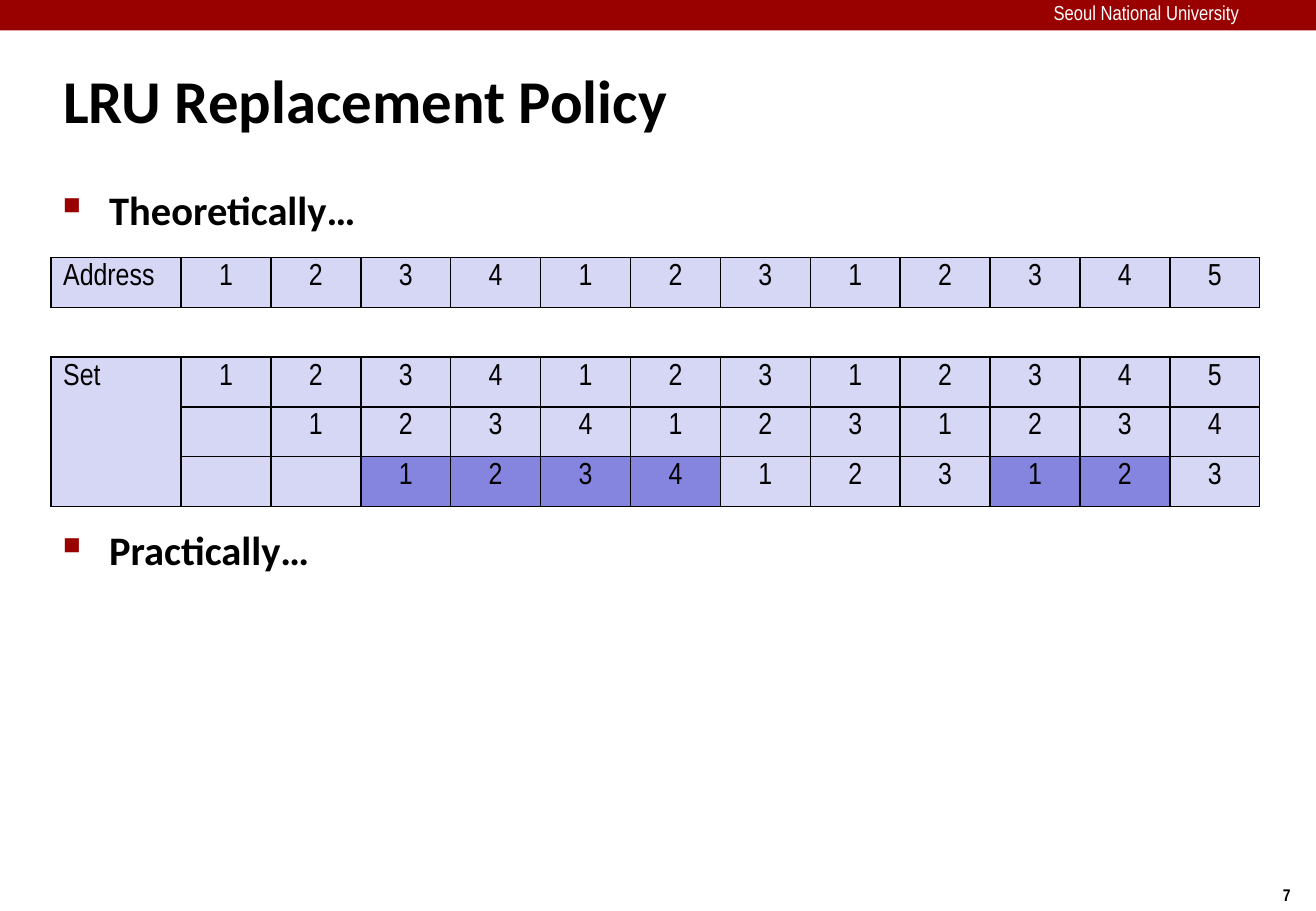
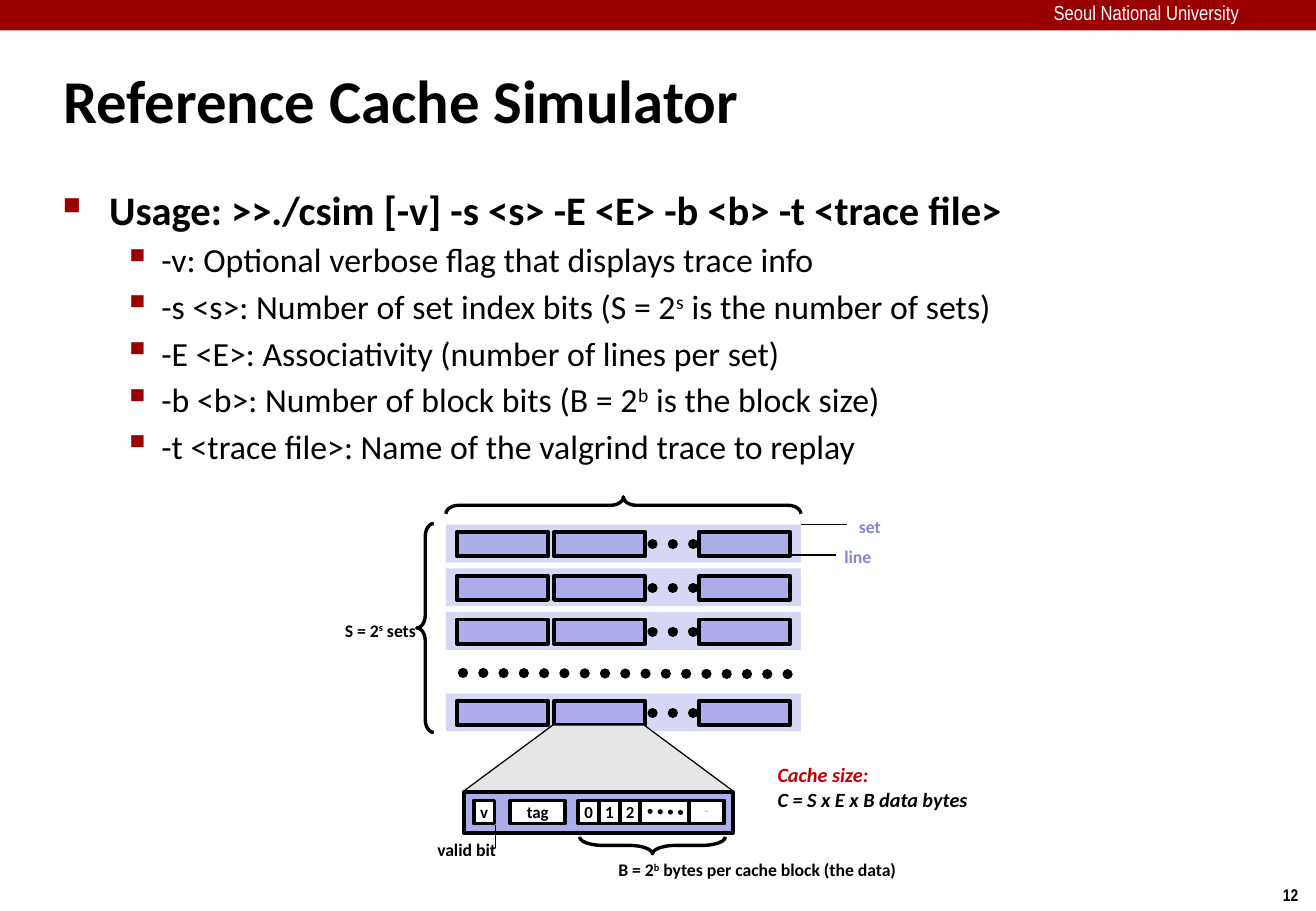
from lxml import etree
from pptx import Presentation
from pptx.dml.color import RGBColor
from pptx.enum.dml import MSO_LINE
from pptx.enum.shapes import MSO_CONNECTOR, MSO_SHAPE
from pptx.enum.text import MSO_ANCHOR, PP_ALIGN
from pptx.oxml.ns import qn
from pptx.util import Inches, Pt

# Shared look
RED, BLACK, WHITE = "990000", "000000", "FFFFFF"
PALE, MID, DARK, GREY = "D6D6F5", "ADADEB", "8585E0", "E6E6E6"
CRIMSON = "C00000"
SANS, NARROW = "Calibri", "Arial Narrow"
RECT, BRACE, TRAPEZE = MSO_SHAPE.RECTANGLE, MSO_SHAPE.LEFT_BRACE, MSO_SHAPE.TRAPEZOID
STRAIGHT, DOTS = MSO_CONNECTOR.STRAIGHT, MSO_LINE.ROUND_DOT
LEFT, CENTER = PP_ALIGN.LEFT, PP_ALIGN.CENTER
MIDDLE, TOP = MSO_ANCHOR.MIDDLE, MSO_ANCHOR.TOP

# Bullet levels: margin, hang, sign, sign size in %, text size, bold
LEVELS = [(0.38, 0.38, "■", 60, 24, True), (0.81, 0.31, "▪", 110, 20, False)]


def ink(code):
    return RGBColor.from_string(code)


def child(parent, tag, **attrs):
    return etree.SubElement(parent, qn(tag), **attrs)


def style(para, size, color=BLACK, font=SANS, bold=True, italic=False):
    for run in para.runs:
        face = run.font
        face.name, face.size = font, Pt(size)
        face.bold, face.italic = bold, italic
        face.color.rgb = ink(color)


def write(para, text):
    """Fill a paragraph; parts between ^ signs are raised."""
    for i, part in enumerate(text.split("^")):
        run = para.add_run()
        run.text = part
        if i % 2:
            run._r.get_or_add_rPr().set("baseline", "30000")


# Kinds of element
def label(slide, at, text, size, color=BLACK, font=SANS, bold=True, inset=True):
    box = slide.shapes.add_textbox(*map(Inches, at))
    frame = box.text_frame
    frame.word_wrap = False
    if not inset:
        frame.margin_left = frame.margin_right = 0
        frame.margin_top = frame.margin_bottom = 0
    write(frame.paragraphs[0], text)
    style(frame.paragraphs[0], size, color, font, bold)
    return frame


def shape(slide, kind, at, fill=None, width=0, text="", size=10):
    item = slide.shapes.add_shape(kind, *map(Inches, at))
    item.shadow.inherit = False
    if fill:
        item.fill.solid()
        item.fill.fore_color.rgb = ink(fill)
    else:
        item.fill.background()
    if width:
        item.line.color.rgb = ink(BLACK)
        item.line.width = Pt(width)
    else:
        item.line.fill.background()
    if text:
        frame = item.text_frame
        frame.text = text
        frame.word_wrap = False
        frame.vertical_anchor = MIDDLE
        frame.paragraphs[0].alignment = CENTER
        style(frame.paragraphs[0], size)
    return item


def brace(slide, at, bend=0.75, turn=0):
    item = shape(slide, BRACE, at, width=2)
    item.adjustments[0] = bend
    item.rotation = turn


def line(slide, start, end, width=0.75, dots=False):
    item = slide.shapes.add_connector(STRAIGHT, *map(Inches, start + end))
    item.line.color.rgb = ink(BLACK)
    item.line.width = Pt(width)
    props = item._element.spPr
    if dots:
        item.line.dash_style = DOTS
        props.get_or_add_ln().set("cap", "rnd")
    child(props, "a:effectLst")


def bullets(slide, top, high, items):
    box = slide.shapes.add_textbox(*map(Inches, (0.42, top, 10, high)))
    frame = box.text_frame
    frame.word_wrap = True
    for i, (level, text) in enumerate(items):
        para = frame.add_paragraph() if i else frame.paragraphs[0]
        margin, hang, sign, scale, size, bold = LEVELS[level]
        write(para, text)
        style(para, size, bold=bold)
        para.level = level
        para.space_before = Pt(size * 0.18)
        props = para._p.get_or_add_pPr()
        props.set("marL", str(Inches(margin)))
        props.set("indent", str(-Inches(hang)))
        child(child(props, "a:buClr"), "a:srgbClr", val=RED)
        child(props, "a:buSzPct", val=str(scale * 1000))
        child(props, "a:buChar", char=sign)


def border(cell, sides, color=None):
    props = cell._tc.get_or_add_tcPr()
    for side in sides:
        edge = child(props, "a:ln" + side, w=str(Pt(1)))
        if color:
            child(child(edge, "a:solidFill"), "a:srgbClr", val=color)
        else:
            child(edge, "a:noFill")


def base(deck, title, number):
    """Start a slide with the band, the header, the page number and a title."""
    slide = deck.slides.add_slide(deck.slide_layouts[5])
    shape(slide, RECT, (0, 0, 10.83, 0.25), RED)
    label(slide, (10.46, 7.23, 0.34, 0.27), str(number), 10, font=NARROW)
    label(slide, (8.67, 0, 2.18, 0.22), "Seoul National University", 12,
          WHITE, NARROW, False, inset=False)
    head = slide.shapes.title
    head.left, head.top, head.width, head.height = map(Inches, (0.42, 0.4, 8.99, 0.83))
    frame = head.text_frame
    frame.text = title
    frame.vertical_anchor = MIDDLE
    frame.paragraphs[0].alignment = LEFT
    style(frame.paragraphs[0], 36)
    return slide


# Slide with the replacement table
def trace(slide):
    calls = "123412312345"
    count = len(calls)
    # Each line of the set lags one step behind the line above
    lag = [(" " * i + calls)[:count] for i in range(3)]
    rows = [["Address", *calls], None, ["Set", *lag[0]], ["", *lag[1]], ["", *lag[2]]]
    hits = {(4, col) for col in (3, 4, 5, 6, 10, 11)}
    at = map(Inches, (0.42, 2.12, 10, 2.03))
    table = slide.shapes.add_table(len(rows), count + 1, *at).table
    table.first_row = table.horz_banding = False
    for i, col in enumerate(table.columns):
        col.width = Inches(0.74 if i else 1.07)
    for r, row in enumerate(rows):
        table.rows[r].height = Inches(0.41)
        for c in range(count + 1):
            cell = table.cell(r, c)
            if row is None:
                border(cell, "LR")
                border(cell, "TB", BLACK)
                cell.fill.background()
                continue
            border(cell, "LRTB", BLACK)
            cell.fill.solid()
            cell.fill.fore_color.rgb = ink(DARK if (r, c) in hits else PALE)
            cell.vertical_anchor = TOP
            cell.text = row[c].strip()
            para = cell.text_frame.paragraphs[0]
            para.alignment = CENTER if c else LEFT
            style(para, 18, font=NARROW, bold=False)
    table.cell(2, 0).merge(table.cell(4, 0))


# Parts of the cache drawing
def sets(slide):
    brace(slide, (5.06, 2.7, 0.14, 2.92), turn=90)
    for top in (4.32, 4.68, 5.04, 5.71):
        shape(slide, RECT, (3.67, top, 2.92, 0.31), PALE)
        line(slide, (5.37, top + 0.16), (5.76, top + 0.16), 6, True)
        for left in (3.76, 4.56, 5.75):
            shape(slide, RECT, (left, top + 0.06, 0.75, 0.2), MID, 2.25)
    line(slide, (3.81, 5.54), (6.49, 5.55), 6, True)
    brace(slide, (3.43, 4.31, 0.14, 1.72))
    label(slide, (2.74, 5.05, 0.83, 0.29), "S = 2^s^ sets", 10.5)
    line(slide, (6.59, 4.32), (6.97, 4.32))
    label(slide, (6.97, 4.2, 0.39, 0.29), "set", 10.5, DARK)
    line(slide, (6.49, 4.57), (6.88, 4.57))
    label(slide, (6.85, 4.44, 0.44, 0.29), "line", 10.5, DARK)


def block(slide):
    zoom = shape(slide, TRAPEZE, (3.82, 5.97, 2.21, 0.54), GREY, 0.75)
    zoom.adjustments[0] = 1.35
    shape(slide, RECT, (3.82, 6.52, 2.21, 0.34), MID, 2.25)
    fields = [(3.9, 0.17, "v", 10), (4.2, 0.45, "tag", 10), (4.76, 0.17, "0", 10),
              (4.93, 0.17, "1", 10), (5.1, 0.17, "2", 10), (5.27, 0.4, "", 10),
              (5.67, 0.29, "B-1", 1)]
    for left, width, text, size in fields:
        shape(slide, RECT, (left, 6.59, width, 0.19), WHITE, 2.25, text, size)
    line(slide, (5.35, 6.68), (5.64, 6.69), 3, True)
    brace(slide, (5.3, 6.36, 0.14, 1.2), 1.37, 270)
    label(slide, (4.99, 7.02, 2.53, 0.28), "B = 2^b^ bytes per cache block (the data)", 10.5)
    label(slide, (3.5, 6.86, 0.72, 0.29), "valid bit", 10.5)
    line(slide, (4.08, 6.98), (4.08, 6.79))
    note = label(slide, (6.3, 6.23, 1.79, 0.5), "Cache size:", 12)
    style(note.paragraphs[0], 12, CRIMSON, italic=True)
    rule = note.add_paragraph()
    rule.text = "C = S x E x B data bytes"
    style(rule, 12, italic=True)


def main():
    deck = Presentation()
    deck.slide_width, deck.slide_height = Inches(10.83), Inches(7.5)

    slide = base(deck, "LRU Replacement Policy", 7)
    bullets(slide, 1.47, 0.5, [(0, "Theoretically…")])
    bullets(slide, 4.27, 0.5, [(0, "Practically…")])
    trace(slide)

    slide = base(deck, "Reference Cache Simulator", 12)
    bullets(slide, 1.47, 2.5, [
        (0, "Usage: >>./csim [-v] -s <s> -E <E> -b <b> -t <trace file>"),
        (1, "-v: Optional verbose flag that displays trace info"),
        (1, "-s <s>: Number of set index bits (S = 2^s^ is the number of sets)"),
        (1, "-E <E>: Associativity (number of lines per set)"),
        (1, "-b <b>: Number of block bits (B = 2^b^ is the block size)"),
        (1, "-t <trace file>: Name of the valgrind trace to replay"),
    ])
    sets(slide)
    block(slide)
    deck.save("out.pptx")


if __name__ == "__main__":
    main()
